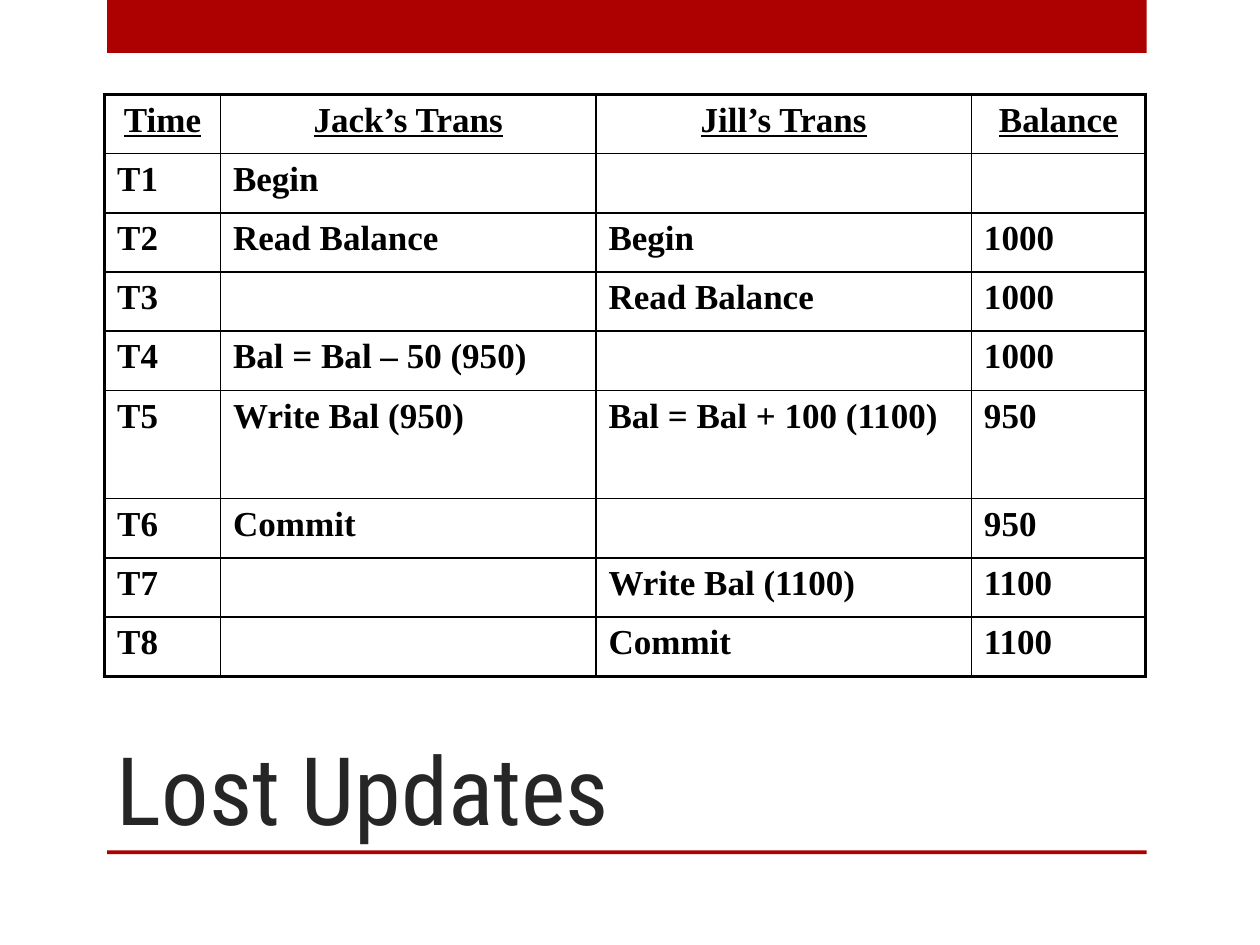
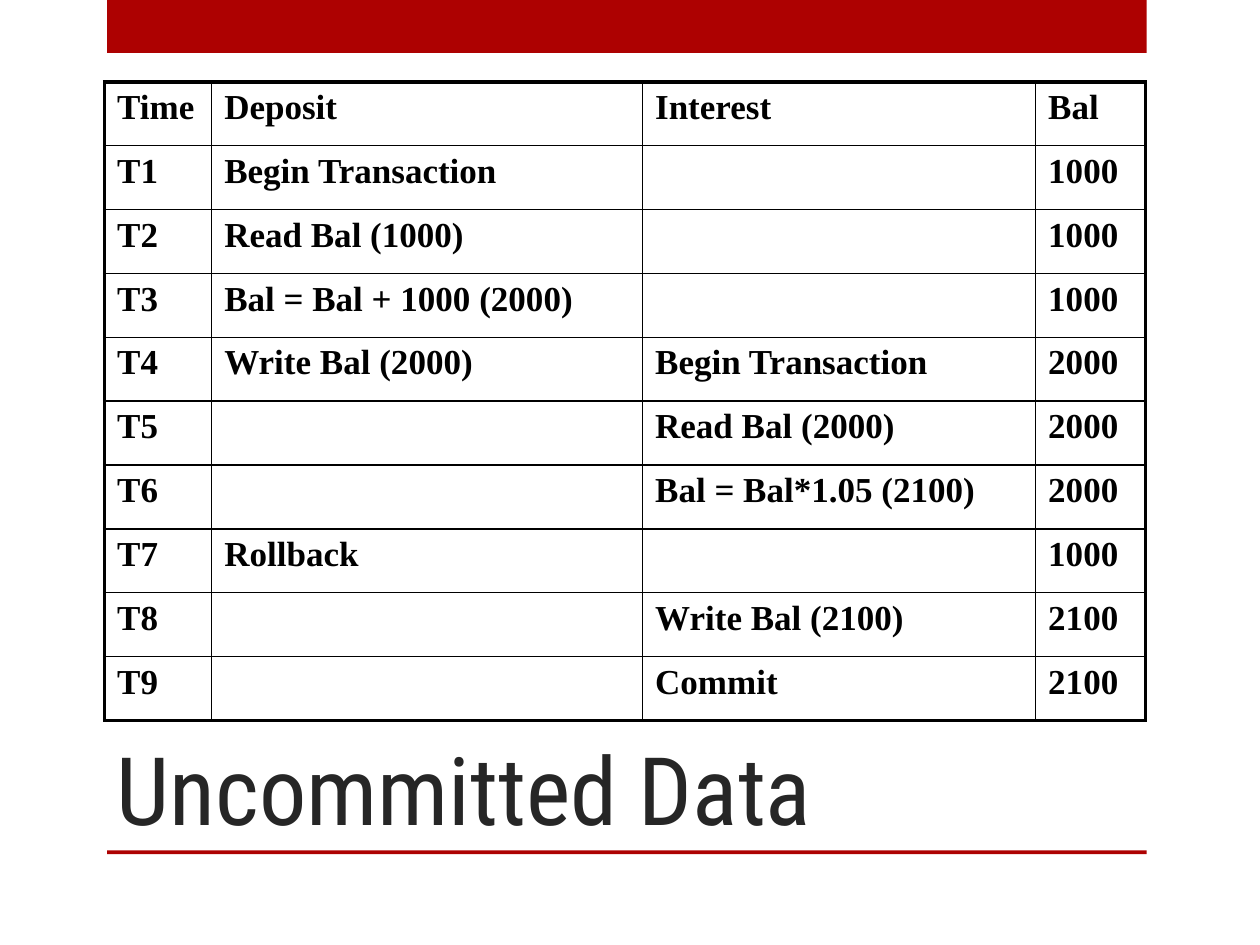
import lxml.etree
import pptx
import pptx.dml.color
import pptx.enum.shapes
import pptx.enum.text
import pptx.oxml.ns
import pptx.util

Inches = pptx.util.Inches
Pt = pptx.util.Pt

COLORS = {"band": "AD0101", "title": "262626", "ink": "000000"}
TITLE_FONT = "Roboto Condensed"
TABLE_FONT = "Times New Roman"
OUTER, INNER = 2.25, 1  # border widths in points


def rgb(name):
    return pptx.dml.color.RGBColor.from_string(COLORS[name])


class Deck:
    def __init__(self):
        self.prs = pptx.Presentation()
        self.prs.slide_width, self.prs.slide_height = Inches(10), Inches(7.5)
        self.slide = None

    def new_slide(self, title):
        self.slide = self.prs.slides.add_slide(self.prs.slide_layouts[6])
        self.band(0, 0.42)
        self.band(6.75, 0.03)
        self.title(title)

    def band(self, top, height):
        band = self.slide.shapes.add_shape(
            pptx.enum.shapes.MSO_SHAPE.RECTANGLE,
            Inches(0.85), Inches(top), Inches(8.25), Inches(height))
        band.shadow.inherit = False
        band.fill.solid()
        band.fill.fore_color.rgb = rgb("band")
        band.line.fill.background()

    def title(self, text):
        frame = self.slide.shapes.add_textbox(
            Inches(0.83), Inches(5), Inches(7.42), Inches(1.75)).text_frame
        frame.word_wrap = True
        frame.vertical_anchor = pptx.enum.text.MSO_ANCHOR.BOTTOM
        frame.text = text
        self.style(frame.paragraphs[0], TITLE_FONT, 54, "title")

    def style(self, paragraph, font, size, color, bold=False, underline=False):
        for run in paragraph.runs:
            run.font.name = font
            run.font.size = Pt(size)
            run.font.color.rgb = rgb(color)
            run.font.bold = bold
            run.font.underline = underline

    def borders(self, cell, widths):
        properties = cell._tc.get_or_add_tcPr()
        for side, width in widths.items():
            line = lxml.etree.SubElement(
                properties, pptx.oxml.ns.qn("a:ln" + side), w=str(Pt(width)))
            fill = lxml.etree.SubElement(line, pptx.oxml.ns.qn("a:solidFill"))
            lxml.etree.SubElement(
                fill, pptx.oxml.ns.qn("a:srgbClr"), val=COLORS["ink"])

    def schedule(self, top, col_widths, row_heights, rows, heading=False):
        """Draw a transaction schedule; heading centres and underlines row one."""
        table = self.slide.shapes.add_table(
            len(rows), len(col_widths), Inches(0.83), Inches(top),
            Inches(sum(col_widths)), Inches(sum(row_heights))).table
        table.first_row = table.horz_banding = False
        for column, width in zip(table.columns, col_widths):
            column.width = Inches(width)
        for row, height in zip(table.rows, row_heights):
            row.height = Inches(height)

        last_row, last_col = len(rows) - 1, len(col_widths) - 1
        for r, texts in enumerate(rows):
            for c, text in enumerate(texts):
                cell = table.cell(r, c)
                self.borders(cell, {
                    "L": OUTER if c == 0 else INNER,
                    "R": OUTER if c == last_col else INNER,
                    "T": OUTER if r == 0 else INNER,
                    "B": OUTER if r == last_row else INNER,
                })
                cell.fill.background()
                cell.text_frame.text = text
                paragraph = cell.text_frame.paragraphs[0]
                is_heading = heading and r == 0
                if is_heading:
                    paragraph.alignment = pptx.enum.text.PP_ALIGN.CENTER
                self.style(paragraph, TABLE_FONT, 20, "ink",
                           bold=True, underline=is_heading)


def main():
    deck = Deck()

    # Lost updates: the T5 row is taller than the rest
    deck.new_slide("Lost Updates")
    lost_updates = [
        ("Time", "Jack’s Trans", "Jill’s Trans", "Balance"),
        ("T1", "Begin", "", ""),
        ("T2", "Read Balance", "Begin", "1000"),
        ("T3", "", "Read Balance", "1000"),
        ("T4", "Bal = Bal – 50 (950)", "", "1000"),
        ("T5", "Write Bal (950)", "Bal = Bal + 100 (1100)", "950"),
        ("T6", "Commit", "", "950"),
        ("T7", "", "Write Bal (1100)", "1100"),
        ("T8", "", "Commit", "1100"),
    ]
    heights = [0.86 if row[0] == "T5" else 0.47 for row in lost_updates]
    deck.schedule(0.75, [0.92, 2.98, 2.98, 1.38], heights, lost_updates,
                  heading=True)

    # Uncommitted data: equal rows
    deck.new_slide("Uncommitted Data")
    uncommitted_data = [
        ("Time", "Deposit", "Interest", "Bal"),
        ("T1", "Begin Transaction", "", "1000"),
        ("T2", "Read Bal (1000)", "", "1000"),
        ("T3", "Bal = Bal + 1000 (2000)", "", "1000"),
        ("T4", "Write Bal (2000)", "Begin Transaction", "2000"),
        ("T5", "", "Read Bal (2000)", "2000"),
        ("T6", "", "Bal = Bal*1.05 (2100)", "2000"),
        ("T7", "Rollback", "", "1000"),
        ("T8", "", "Write Bal (2100)", "2100"),
        ("T9", "", "Commit", "2100"),
    ]
    heights = [5.07 / len(uncommitted_data)] * len(uncommitted_data)
    deck.schedule(0.65, [0.85, 3.42, 3.12, 0.87], heights, uncommitted_data)

    deck.prs.save("out.pptx")


if __name__ == "__main__":
    main()
